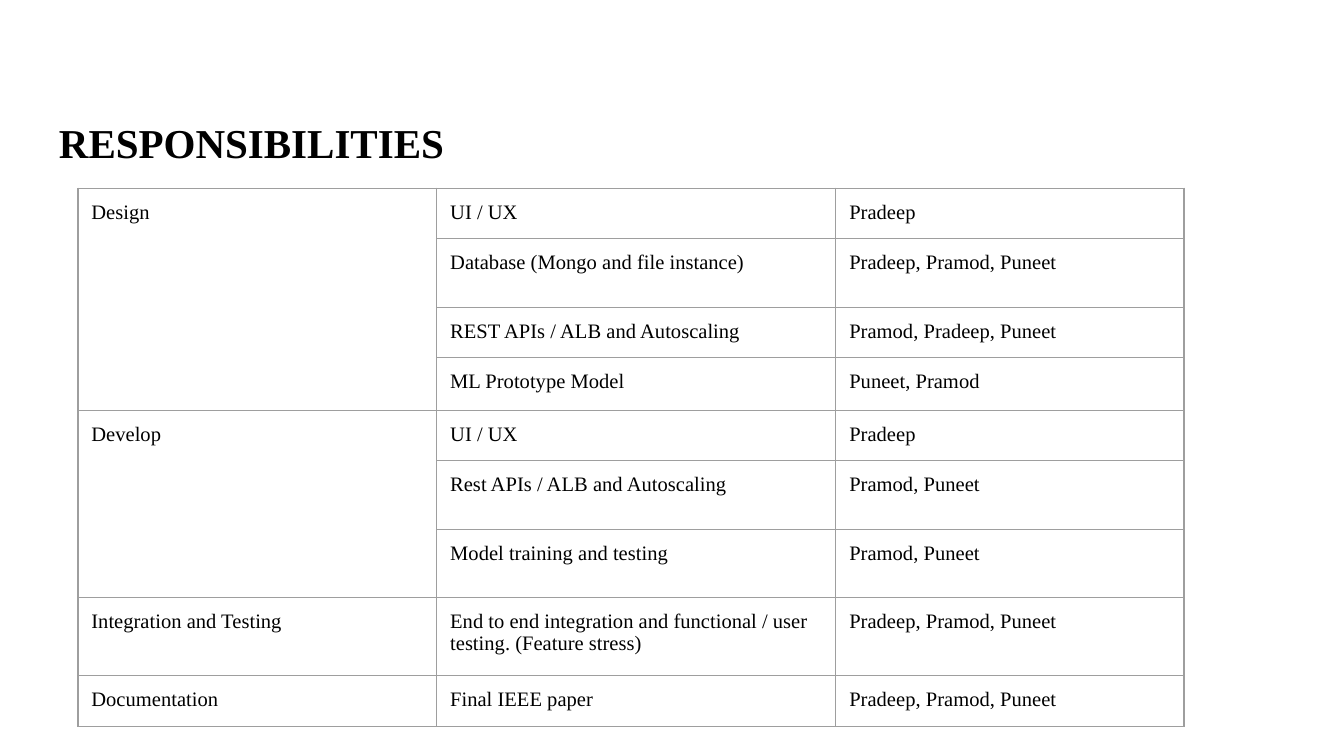
"""Build the responsibilities slide: a title above a bordered table of tasks and owners."""
from dataclasses import dataclass

from lxml.etree import SubElement
from pptx import Presentation
from pptx.dml.color import RGBColor
from pptx.enum.text import MSO_ANCHOR as ANCHOR, PP_ALIGN as ALIGN
from pptx.oxml.ns import qn
from pptx.util import Inches, Pt

BLACK = RGBColor(0x00, 0x00, 0x00)
GRAY = RGBColor(0x9E, 0x9E, 0x9E)
FONT = "Times New Roman"
INSET = Inches(0.1)
COL_WIDTHS = (2.67, 2.97, 2.59)
TABLE_HEIGHT = Inches(4.04)


@dataclass(frozen=True)
class Task:
    name: str
    owners: str
    height: float


@dataclass(frozen=True)
class Phase:
    name: str
    tasks: tuple[Task, ...]


PHASES = (
    Phase("Design", (
        Task("UI / UX", "Pradeep", 0),
        Task("Database (Mongo and file instance)", "Pradeep, Pramod, Puneet", 0.51),
        Task("REST APIs / ALB and Autoscaling", "Pramod, Pradeep, Puneet", 0.35),
        Task("ML Prototype Model", "Puneet, Pramod", 0.39),
    )),
    Phase("Develop", (
        Task("UI / UX", "Pradeep", 0.36),
        Task("Rest APIs / ALB and Autoscaling", "Pramod, Puneet", 0.51),
        Task("Model training and testing", "Pramod, Puneet", 0.51),
    )),
    Phase("Integration and Testing", (
        Task("End to end integration and functional / user testing. (Feature stress)",
             "Pradeep, Pramod, Puneet", 0.58),
    )),
    Phase("Documentation", (
        Task("Final IEEE paper", "Pradeep, Pramod, Puneet", 0.32),
    )),
)


def add_run(p, text: str, size: float, bold: bool = False) -> None:
    r = p.add_run()
    r.text = text
    r.font.name = FONT
    r.font.size = Pt(size)
    r.font.bold = bold
    r.font.color.rgb = BLACK


def set_insets(box) -> None:
    box.margin_left = box.margin_right = box.margin_top = box.margin_bottom = INSET


def style_cell(cell) -> None:
    set_insets(cell)
    p = cell.text_frame.paragraphs[0]
    p.font.size = Pt(11)
    p.line_spacing = 0.96
    tc_pr = cell._tc.get_or_add_tcPr()
    for side in ("a:lnL", "a:lnR", "a:lnT", "a:lnB"):
        ln = SubElement(tc_pr, qn(side), w=str(Pt(0.75)))
        fill = SubElement(ln, qn("a:solidFill"))
        SubElement(fill, qn("a:srgbClr"), val=str(GRAY))
    cell.fill.background()


def add_title(s, text: str) -> None:
    sp = s.shapes.add_textbox(Inches(0.34), Inches(0.71), Inches(9.32), Inches(0.63))
    tf = sp.text_frame
    tf.word_wrap = True
    tf.vertical_anchor = ANCHOR.BOTTOM
    set_insets(tf)
    p = tf.paragraphs[0]
    p.alignment = ALIGN.JUSTIFY
    p.line_spacing = 1.15
    add_run(p, text, 22, bold=True)


def add_task_table(s, phases: tuple[Phase, ...]) -> None:
    row_count = sum(len(phase.tasks) for phase in phases)
    frame = s.shapes.add_table(
        row_count, len(COL_WIDTHS), Inches(0.58), Inches(1.4),
        Inches(sum(COL_WIDTHS)), TABLE_HEIGHT)
    table = frame.table
    table.first_row = table.horz_banding = False
    for column, width in zip(table.columns, COL_WIDTHS):
        column.width = Inches(width)
    for cell in table.iter_cells():
        style_cell(cell)
    row = 0
    for phase in phases:
        first = row
        for task in phase.tasks:
            table.rows[row].height = Inches(task.height)
            label = phase.name if row == first else ""
            for col, text in enumerate((label, task.name, task.owners)):
                if text:
                    add_run(table.cell(row, col).text_frame.paragraphs[0], text, 11)
            row += 1
        if row - first > 1:
            table.cell(first, 0).merge(table.cell(row - 1, 0))
    frame.height = TABLE_HEIGHT


def main() -> None:
    prs = Presentation()
    prs.slide_width = Inches(10)
    prs.slide_height = prs.slide_width * 9 // 16
    s = prs.slides.add_slide(prs.slide_layouts[6])
    add_title(s, "RESPONSIBILITIES")
    add_task_table(s, PHASES)
    prs.save("out.pptx")


if __name__ == "__main__":
    main()
